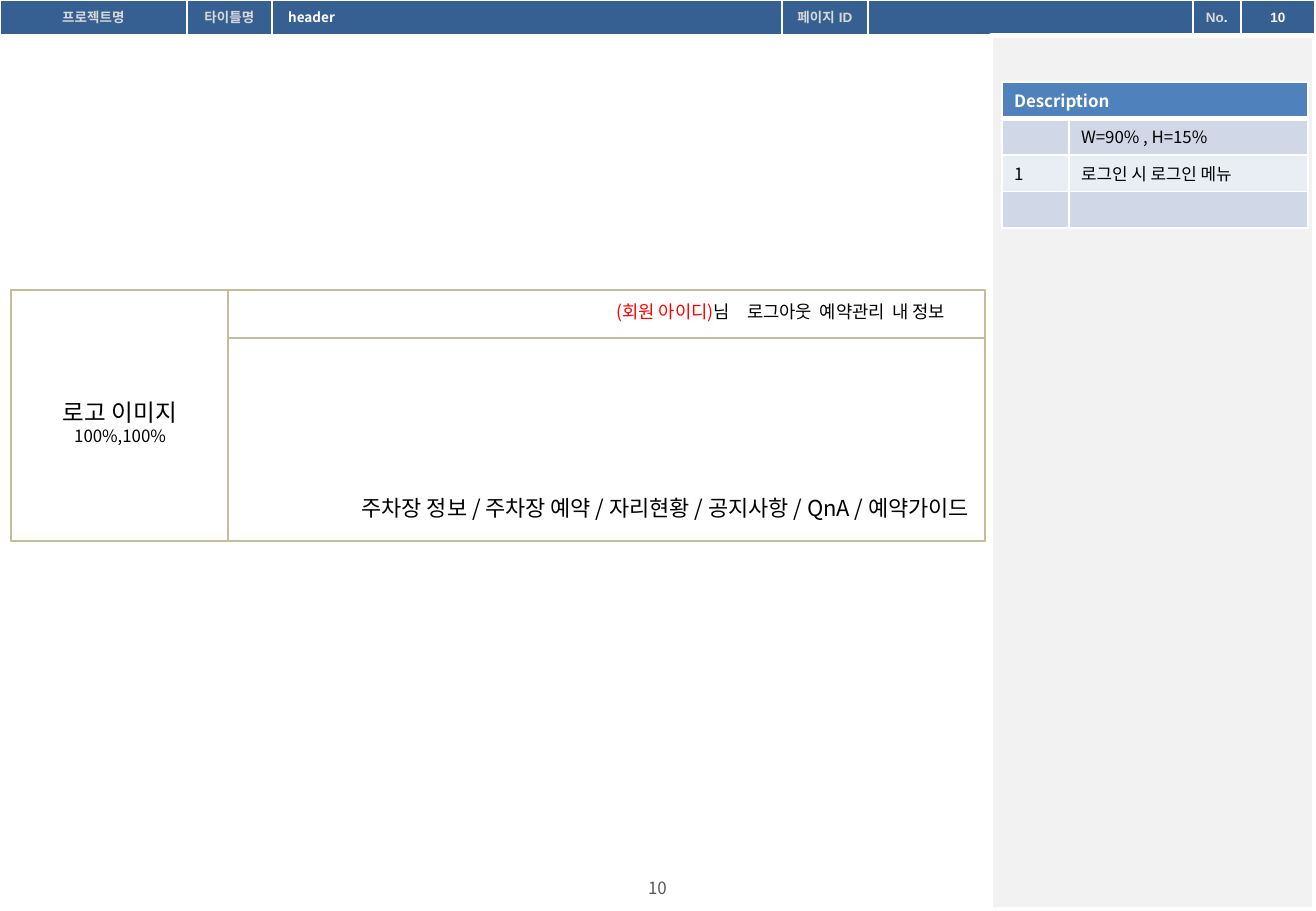
from pptx import Presentation
from pptx import util as u
from pptx.dml.color import RGBColor
from pptx.enum import shapes, text
from pptx.oxml import parse_xml
from pptx.oxml.ns import nsdecls

PX = 7526
SANS = "Noto Sans CJK KR"
WHITE = RGBColor(0xFF, 0xFF, 0xFF)
BLACK = RGBColor(0, 0, 0)
RED = RGBColor(0xFF, 0, 0)
NAVY = RGBColor(0x37, 0x60, 0x92)
BLUE = RGBColor(0x4F, 0x81, 0xBD)
DARK = RGBColor(0xD0, 0xD8, 0xE8)
PALE = RGBColor(0xE9, 0xED, 0xF4)
PANEL = RGBColor(0xF2, 0xF2, 0xF2)
SILVER = RGBColor(0xD9, 0xD9, 0xD9)
GREY = RGBColor(0x59, 0x59, 0x59)
TAN = RGBColor(0xC4, 0xBD, 0x97)
LEFT, MID, RIGHT = text.PP_ALIGN.LEFT, text.PP_ALIGN.CENTER, text.PP_ALIGN.RIGHT


def write(frame, *lines, size=10, color=BLACK, bold=False, font=SANS, align=LEFT, wrap=True):
    frame.word_wrap = wrap
    frame.auto_size = text.MSO_AUTO_SIZE.NONE
    frame.vertical_anchor = text.MSO_ANCHOR.MIDDLE
    for i, line in enumerate(lines):
        para = frame.add_paragraph() if i else frame.paragraphs[0]
        para.alignment = align
        for words, look in line if isinstance(line, list) else [(line, {})]:
            if not words:
                para._p.get_or_add_endParaRPr().set("sz", str(size * 100))
                continue
            run = para.add_run()
            run.text = words
            run.font.size = u.Pt(look.get("size", size))
            run.font.color.rgb = look.get("color", color)
            run.font.bold = bold
            run.font.name = font
            run.font._element.append(parse_xml(f'<a:ea {nsdecls("a")} typeface="{font}"/>'))


def edge(cell, top=1, base=1):
    props = cell._tc.get_or_add_tcPr()
    for i, (side, wide) in enumerate(zip("LRTB", (1, 1, top, base))):
        props.insert(i, parse_xml(
            f'<a:ln{side} {nsdecls("a")} w="{wide * 12700}"><a:solidFill>'
            f'<a:srgbClr val="{WHITE}"/></a:solidFill></a:ln{side}>'))


deck = Presentation()
deck.slide_width, deck.slide_height = 1316 * PX, 911 * PX
slide = deck.slides.add_slide(deck.slide_layouts[5])
items = slide.shapes

boxes = [
    (0, 0, 1316, 38, NAVY, None, 0),
    (991, 35, 323, 874, PANEL, WHITE, 2),
    (11, 290, 974, 251, None, TAN, 0.75),
    (11, 290, 217, 251, None, TAN, 0.75),
    (228, 338, 757, 203, None, TAN, 0.75),
]
for x, y, w, h, fill, line, wide in boxes:
    box = items.add_shape(shapes.MSO_SHAPE.RECTANGLE, x * PX, y * PX, w * PX, h * PX)
    box.shadow.inherit = False
    if fill:
        box.fill.solid()
        box.fill.fore_color.rgb = fill
    else:
        box.fill.background()
    if line:
        box.line.color.rgb = line
        box.line.width = u.Pt(wide)
    else:
        box.line.fill.background()

wides = [187, 85, 510, 86, 325, 48, 74]
heads = ["프로젝트명", "타이틀명", "", "페이지 ID", "", [("No", {}), (".", {"color": WHITE})],
         [("10", {"color": WHITE})]]
bar = items.add_table(1, 7, 0, 0, sum(wides) * PX, 36 * PX).table
bar.first_row = bar.horz_banding = False
for i, (wide, head) in enumerate(zip(wides, heads)):
    bar.columns[i].width = wide * PX
    cell = bar.cell(0, i)
    cell.vertical_anchor = text.MSO_ANCHOR.MIDDLE
    cell.fill.background()
    edge(cell, base=3)
    write(cell.text_frame, head, size=8, color=SILVER, bold=True, font="Arial", align=MID)

title = items.title
title.left, title.top, title.width, title.height = 276 * PX, 0, 507 * PX, 34 * PX
write(title.text_frame, "header", size=8, color=WHITE, bold=True)
items._spTree.append(title._element)

notes = [("Description", "", BLUE), ("", "W=90% , H=15%", DARK),
         ("1", "로그인 시 로그인 메뉴", PALE), ("", "", DARK)]
grid = items.add_table(4, 2, 1002 * PX, 82 * PX, 306 * PX, 146 * PX).table
grid.columns[0].width, grid.columns[1].width = 67 * PX, 239 * PX
grid.cell(0, 0).merge(grid.cell(0, 1))
for i, (*words, fill) in enumerate(notes):
    for j, word in enumerate(words):
        cell = grid.cell(i, j)
        cell.fill.solid()
        cell.fill.fore_color.rgb = fill
        edge(cell, top=3 if i == 1 else 1, base=1 if i else 3)
        write(cell.text_frame, word, color=BLACK if i else WHITE, bold=i == 0)

labels = [
    (44, 391, 152, 62, ["로고 이미지", [("100%,100%", {"size": 10})]],
     dict(size=14, align=MID, wrap=False)),
    (233, 488, 748, 39, ["주차장 정보 / 주차장 예약 / 자리현황 / 공지사항 / QnA / 예약가이드"],
     dict(size=13, align=RIGHT)),
    (583, 294, 396, 34, [[("(회원 아이디)", {"color": RED}), ("님　로그아웃  예약관리  내 정보", {})]],
     dict(size=10.5, align=MID, wrap=False)),
    (504, 863, 307, 49, ["10"], dict(color=GREY, align=MID)),
]
for x, y, w, h, lines, look in labels:
    box = items.add_textbox(x * PX, y * PX, w * PX, h * PX)
    write(box.text_frame, *lines, **look)

deck.save("out.pptx")
